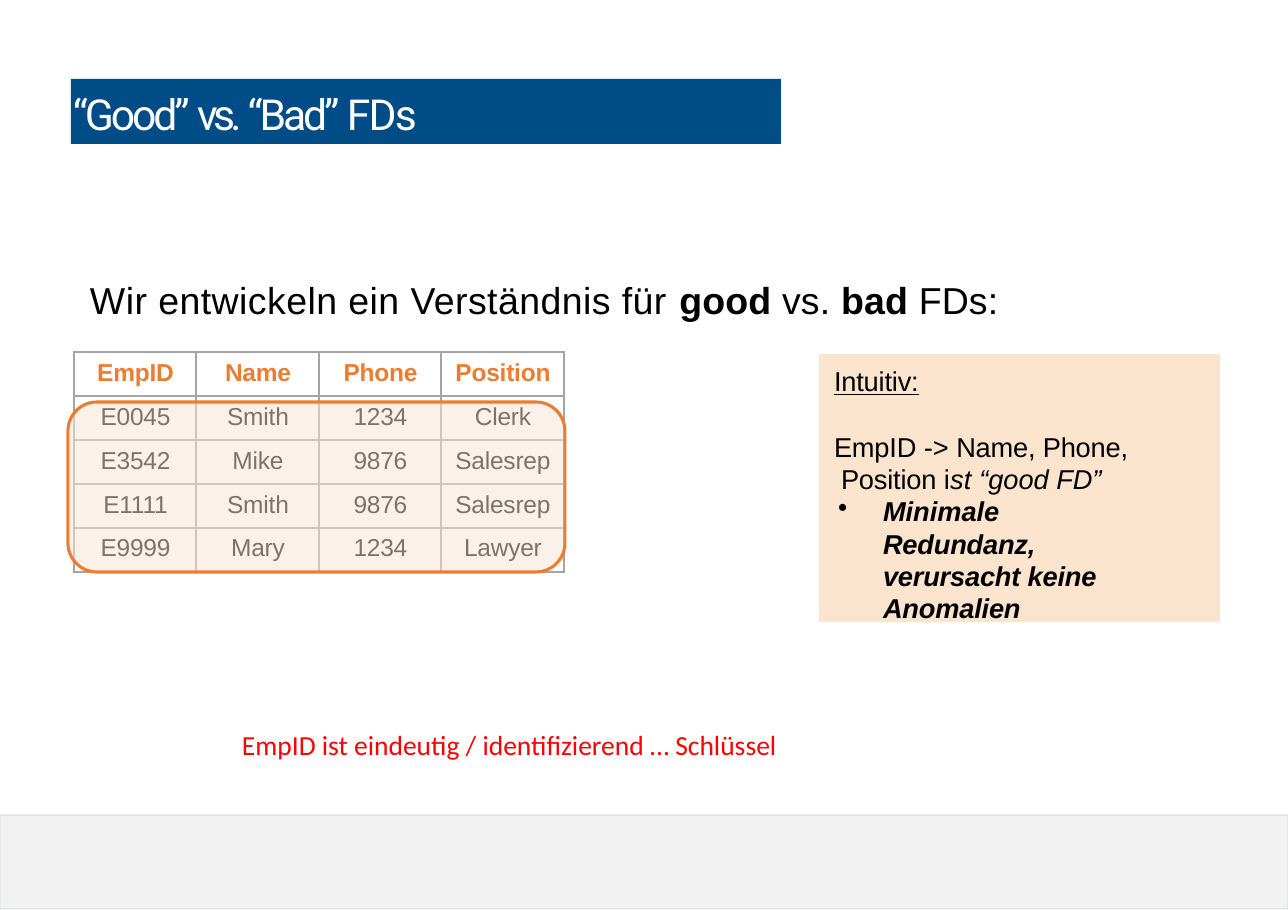
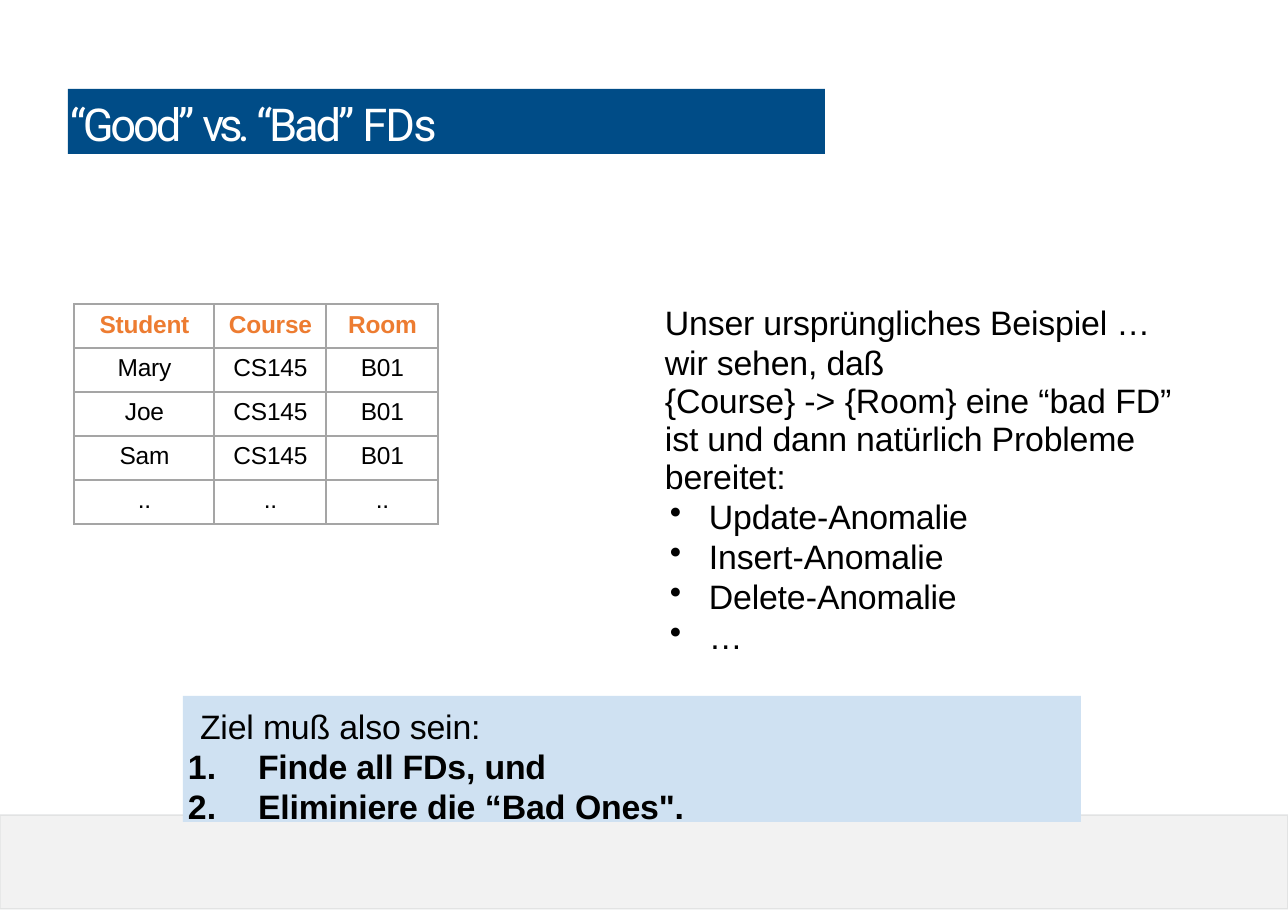
from dataclasses import dataclass

from lxml import etree
from pptx import Presentation
from pptx.dml.color import RGBColor
from pptx.enum.shapes import MSO_SHAPE
from pptx.enum.text import MSO_ANCHOR, PP_ALIGN
from pptx.oxml.ns import qn
from pptx.util import Pt

RECT, ROUNDED = MSO_SHAPE.RECTANGLE, MSO_SHAPE.ROUNDED_RECTANGLE
TOP, MIDDLE = MSO_ANCHOR.TOP, MSO_ANCHOR.MIDDLE
LEFT, CENTER = PP_ALIGN.LEFT, PP_ALIGN.CENTER
PX = 8298  # EMU per pixel
SLIDE_W, SLIDE_H = 1288, 910


@dataclass(frozen=True)
class Theme:
    body_font: str = "Arial"
    title_font: str = "Roboto"
    remark_font: str = "Calibri"
    black: str = "000000"
    white: str = "FFFFFF"
    title_band: str = "004C87"
    footer: str = "F2F2F2"
    footer_edge: str = "889194"
    accent: str = "ED7C31"
    grid: str = "A5A5A5"
    highlight: str = "FBE4D4"
    intuition: str = "FBE4CD"
    goal: str = "CFE1F2"
    remark: str = "FF0000"
    lead_size: float = 24.5
    text_size: float = 22.1
    note_size: float = 17.8
    cell_size: float = 16
    remark_size: float = 18


theme = Theme()


def add_panel(slide, kind, rect, fill, line=None, line_width=1):
    panel = slide.shapes.add_shape(kind, *(v * PX for v in rect))
    panel.shadow.inherit = False
    panel.fill.solid()
    panel.fill.fore_color.rgb = RGBColor.from_string(fill)
    if line:
        panel.line.color.rgb = RGBColor.from_string(line)
        panel.line.width = Pt(line_width)
    else:
        panel.line.fill.background()
    return panel


def write(frame, paragraphs, size, color=theme.black, font=theme.body_font,
          top=0, side=0, anchor=TOP):
    """Fill a frame with (layout, runs) pairs; a run is (text, tracking, styles)."""
    frame.word_wrap = True
    frame.vertical_anchor = anchor
    frame.margin_left = frame.margin_right = side * PX
    frame.margin_top, frame.margin_bottom = top * PX, 0
    for index, (layout, runs) in enumerate(paragraphs):
        paragraph = frame.paragraphs[0] if index == 0 else frame.add_paragraph()
        paragraph.alignment = layout.get("align", LEFT)
        if "line" in layout:
            paragraph.line_spacing = Pt(layout["line"])
        if "before" in layout:
            paragraph.space_before = Pt(layout["before"])
        props = paragraph._p.get_or_add_pPr()
        for key, attribute in (("left", "marL"), ("right", "marR"), ("indent", "indent")):
            props.set(attribute, str(layout.get(key, 0) * PX))
        if "bullet" in layout:
            etree.SubElement(props, qn("a:buChar"), char=layout["bullet"])
        elif "number" in layout:
            etree.SubElement(props, qn("a:buAutoNum"), type=layout["number"])
        for text, tracking, styles in runs:
            run = paragraph.add_run()
            run.text = text
            run.font.name, run.font.size = font, Pt(size)
            run.font.color.rgb = RGBColor.from_string(color)
            run.font.bold = "b" in styles
            run.font.italic = "i" in styles
            run.font.underline = "u" in styles
            run._r.get_or_add_rPr().set("spc", str(round(tracking * 100)))


prs = Presentation()
prs.slide_width, prs.slide_height = SLIDE_W * PX, SLIDE_H * PX

# Shared frame and table of both slides
pages = [
    dict(title=(71, 79, 710, 65), title_size=27.9, tracking=(-2, -3, -2, -1.1),
         origin=(74, 352), columns=(122, 123, 122, 123),
         rows=[("EmpID", "Name", "Phone", "Position"),
               ("E0045", "Smith", "1234", "Clerk"),
               ("E3542", "Mike", "9876", "Salesrep"),
               ("E1111", "Smith", "9876", "Salesrep"),
               ("E9999", "Mary", "1234", "Lawyer")]),
    dict(title=(68, 89, 757, 65), title_size=29.6, tracking=(-2.1, -3.2, -2.1, -1.2),
         origin=(74, 304), columns=(140, 112, 112),
         rows=[("Student", "Course", "Room"),
               ("Mary", "CS145", "B01"),
               ("Joe", "CS145", "B01"),
               ("Sam", "CS145", "B01"),
               ("..", "..", "..")]),
]
ROW_H = 44
slides = []
for page in pages:
    slide = prs.slides.add_slide(prs.slide_layouts[6])
    slides.append(slide)

    footer = add_panel(slide, RECT, (0, 815, SLIDE_W, 94), theme.footer, theme.footer_edge)
    edge_color = footer.line._ln.find(".//" + qn("a:srgbClr"))
    etree.SubElement(edge_color, qn("a:alpha"), val="15000")

    title = add_panel(slide, RECT, page["title"], theme.title_band)
    words = ("“Good” ", "vs. ", "“Bad” ", "FDs")
    title_runs = [(word, gap, "") for word, gap in zip(words, page["tracking"])]
    write(title.text_frame, [(dict(left=2), title_runs)], page["title_size"],
          theme.white, theme.title_font, top=4, anchor=MIDDLE)

    rows, columns = page["rows"], page["columns"]
    size = (sum(columns), ROW_H * len(rows))
    relation = slide.shapes.add_table(
        len(rows), len(columns), *(v * PX for v in page["origin"] + size)).table
    relation.first_row = relation.horz_banding = False
    for column, width in zip(relation.columns, columns):
        column.width = width * PX
    for r, values in enumerate(rows):
        relation.rows[r].height = ROW_H * PX
        for c, value in enumerate(values):
            cell = relation.cell(r, c)
            cell_props = cell._tc.get_or_add_tcPr()
            for side in ("a:lnL", "a:lnR", "a:lnT", "a:lnB"):
                border = etree.SubElement(cell_props, qn(side), w=str(Pt(1)))
                paint = etree.SubElement(border, qn("a:solidFill"))
                etree.SubElement(paint, qn("a:srgbClr"), val=theme.grid)
            cell.fill.background()
            write(cell.text_frame, [(dict(align=CENTER, left=1), [(value, -0.1, "" if r else "b")])],
                  theme.cell_size, theme.black if r else theme.accent)
            cell.margin_left = cell.margin_right = cell.margin_bottom = 0
            cell.margin_top = 7 * PX

good, bad = slides

# Good FD
lead = good.shapes.add_textbox(*(v * PX for v in (88, 272, 921, 48)))
write(lead.text_frame, [(dict(left=2), [
    ("Wir entwickeln ein Verständnis für ", 0.3, ""), ("good ", 0.1, "b"),
    ("vs. ", 0.1, ""), ("bad ", 0.1, "b"), ("FDs:", 0.1, "")])],
    theme.lead_size, top=5)

intuition = add_panel(good, RECT, (819, 354, 401, 268), theme.intuition)
write(intuition.text_frame, [
    (dict(left=15), [("Intuitiv:", -0.1, "u")]),
    (dict(left=22, indent=-7, right=80, line=21.1, before=22), [
        ("EmpID ", -0.1, ""), ("-> ", 0, ""), ("Name, Phone, Position ", -0.1, ""),
        ("i", 0.1, ""), ("st ", 0.1, "i"), ("“good ", 0, "i"), ("FD”", -0.1, "i")]),
    (dict(left=64, indent=-45, right=80, line=21.1, bullet="•"), [
        ("Minimale ", 0, "bi"), ("Redundanz, verursacht keine Anomalien", -0.1, "bi")]),
], theme.note_size, top=10)

highlight = add_panel(good, ROUNDED, (68, 402, 497, 170), theme.highlight, theme.accent, 2)
highlight.adjustments[0] = 0.17
highlight_color = highlight.fill._xPr.find(qn("a:solidFill"))[0]
etree.SubElement(highlight_color, qn("a:alpha"), val="50000")

remark = good.shapes.add_textbox(*(v * PX for v in (231, 722, 716, 44)))
write(remark.text_frame,
      [({}, [("EmpID ist eindeutig / identifizierend … Schlüssel", 0, "")])],
      theme.remark_size, theme.remark, theme.remark_font, top=6, side=11)

# Bad FD
goal = add_panel(bad, RECT, (183, 696, 898, 126), theme.goal)
step = dict(left=75, indent=-70, line=26.2, number="arabicPeriod")
write(goal.text_frame, [
    (dict(left=17, line=26.2), [("Ziel muß also sein:", -0.1, "")]),
    (step, [("Finde all FDs, und", -0.1, "b")]),
    (step, [("Eliminiere die", -0.1, "b"), (" “Bad ", 0, "b"), ("Ones\".", -0.1, "b")]),
], theme.text_size, top=10)

anomaly = dict(left=46, indent=-39, line=26.1, bullet="•")
example = bad.shapes.add_textbox(*(v * PX for v in (663, 295, 558, 360)))
write(example.text_frame, [
    (dict(left=2, right=30, line=26.1),
     [("Unser ursprüngliches Beispiel … wir sehen, daß", -0.1, "")]),
    (dict(left=2, right=30, line=25), [
        ("{Course} ", -0.1, ""), ("-> ", 0, ""), ("{Room} eine ", -0.1, ""), ("“bad ", 0, ""),
        ("FD” ist und dann natürlich Probleme bereitet:", -0.1, "")]),
    *((anomaly, [(kind, -0.1, ""), ("-", -0.2, ""), ("Anomalie", -0.1, "")])
      for kind in ("Update", "Insert", "Delete")),
    (anomaly, [("…", 0, "")]),
], theme.text_size, top=7)

prs.save("out.pptx")
